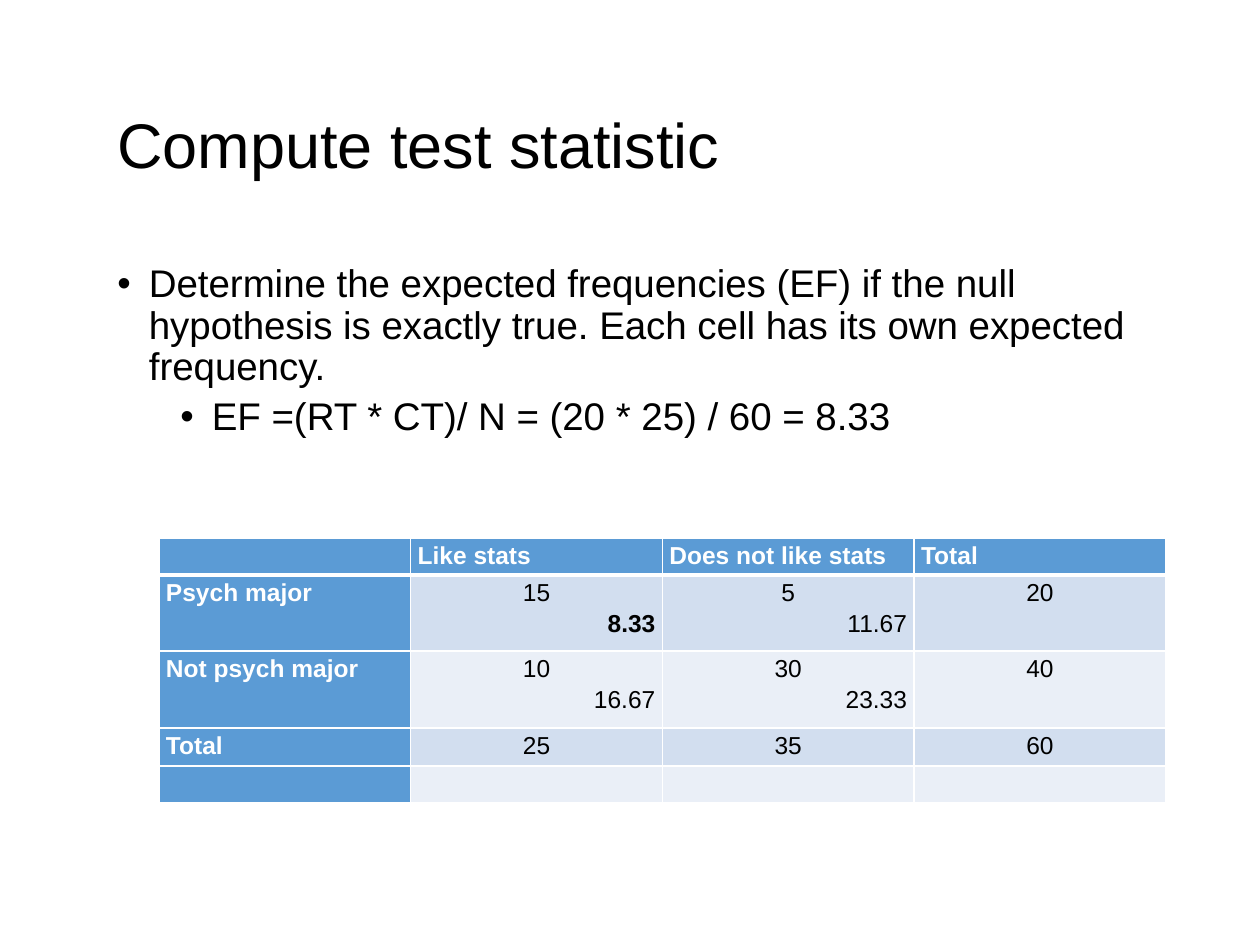
from pptx import Presentation
from pptx.dml.color import RGBColor
from pptx.enum.text import MSO_ANCHOR as Anchor, PP_ALIGN as Align
from pptx.oxml.ns import qn
from pptx.util import Emu, Pt
from lxml.etree import SubElement

PX = 914400 / 126
FONT = "Arial"
COLORS = {"text": "000000", "light": "FFFFFF", "header": "5B9BD5",
          "band_odd": "D2DEEF", "band_even": "EAEFF7"}

TITLE = "Compute test statistic"
BULLETS = [
    ("Determine the expected frequencies (EF) if the null hypothesis is exactly "
     "true. Each cell has its own expected frequency.", 0),
    ("EF =(RT * CT)/ N = (20 * 25) / 60 = 8.33", 1),
]
# Each body cell holds the observed count, then the expected one
ROWS = [
    ["", "Like stats", "Does not like stats", "Total"],
    ["Psych major", "15\n8.33", "5\n11.67", "20"],
    ["Not psych major", "10\n16.67", "30\n23.33", "40"],
    ["Total", "25", "35", "60"],
    ["", "", "", ""],
]
ROW_HEIGHTS = [37, 76, 77, 38, 37]
HIGHLIGHT = "8.33"


def px(value):
    return Emu(round(value * PX))


def color(name):
    return RGBColor.from_string(COLORS[name])


def write(paragraph, text, size, color_name="text", bold=False, **layout):
    for name, value in layout.items():
        setattr(paragraph, name, value)
    run = paragraph.add_run()
    run.text = text
    for name, value in {"name": FONT, "size": Pt(size), "bold": bold}.items():
        setattr(run.font, name, value)
    run.font.color.rgb = color(color_name)


def add_text_frame(slide, box, anchor):
    frame = slide.shapes.add_textbox(*map(px, box)).text_frame
    frame.word_wrap = True
    frame.vertical_anchor = anchor
    return frame


def add_title(slide, box):
    frame = add_text_frame(slide, box, Anchor.MIDDLE)
    write(frame.paragraphs[0], TITLE, 36, line_spacing=0.9)


def add_bullets(slide, box):
    frame = add_text_frame(slide, box, Anchor.TOP)
    for index, (text, level) in enumerate(BULLETS):
        paragraph = frame.add_paragraph() if index else frame.paragraphs[0]
        write(paragraph, text, 22, level=level, line_spacing=0.9,
              space_before=Pt(5 if index else 0))
        properties = paragraph._p.get_or_add_pPr()
        hanging = px(31.5)
        properties.set("marL", str(hanging * (1 + 2 * level)))
        properties.set("indent", str(-hanging))
        SubElement(properties, qn("a:buFont"), typeface=FONT)
        SubElement(properties, qn("a:buChar"), char="•")


def add_borders(cell, bottom_width):
    properties = cell._tc.get_or_add_tcPr()
    widths = {"lnL": 1, "lnR": 1, "lnT": 1, "lnB": bottom_width}
    for position, (tag, width) in enumerate(widths.items()):
        line = SubElement(properties, qn(f"a:{tag}"), w=str(Pt(width)))
        fill = SubElement(line, qn("a:solidFill"))
        SubElement(fill, qn("a:srgbClr"), val=COLORS["light"])
        properties.insert(position, line)  # borders come before the cell fill


def fill_cell(cell, text, row, column):
    is_header = row == 0 or column == 0
    band = "band_odd" if row % 2 else "band_even"
    cell.fill.solid()
    cell.fill.fore_color.rgb = color("header" if is_header else band)
    margins = {"margin_left": 7, "margin_right": 7, "margin_top": 0, "margin_bottom": 0}
    for name, value in margins.items():
        setattr(cell, name, px(value))
    add_borders(cell, 1 if row else 3)

    frame = cell.text_frame
    if not text:
        # Keeps the empty row from growing
        frame.paragraphs[0]._p.get_or_add_endParaRPr().set("sz", "1400")
        return
    for index, line in enumerate(text.split("\n")):
        paragraph = frame.add_paragraph() if index else frame.paragraphs[0]
        alignment = Align.LEFT if is_header else (Align.RIGHT if index else Align.CENTER)
        write(paragraph, line, 14, "light" if is_header else "text",
              bold=is_header or line == HIGHLIGHT,
              alignment=alignment, line_spacing=1.15)


def add_frequency_table(slide, box):
    table = slide.shapes.add_table(len(ROWS), len(ROWS[0]), *map(px, box)).table
    for column in table.columns:
        column.width = px(box[2] / len(ROWS[0]))
    for row, (texts, height) in enumerate(zip(ROWS, ROW_HEIGHTS)):
        table.rows[row].height = px(height)
        for column, text in enumerate(texts):
            fill_cell(table.cell(row, column), text, row, column)


def main():
    presentation = Presentation()
    presentation.slide_width, presentation.slide_height = px(1260), px(945)
    slide = presentation.slides.add_slide(presentation.slide_layouts[6])
    slide.background.fill.solid()
    slide.background.fill.fore_color.rgb = color("light")

    add_title(slide, (105, 57, 1086, 183))
    add_bullets(slide, (105, 258, 1086, 600))
    add_frequency_table(slide, (159, 538, 1007, sum(ROW_HEIGHTS)))
    presentation.save("out.pptx")


if __name__ == "__main__":
    main()
